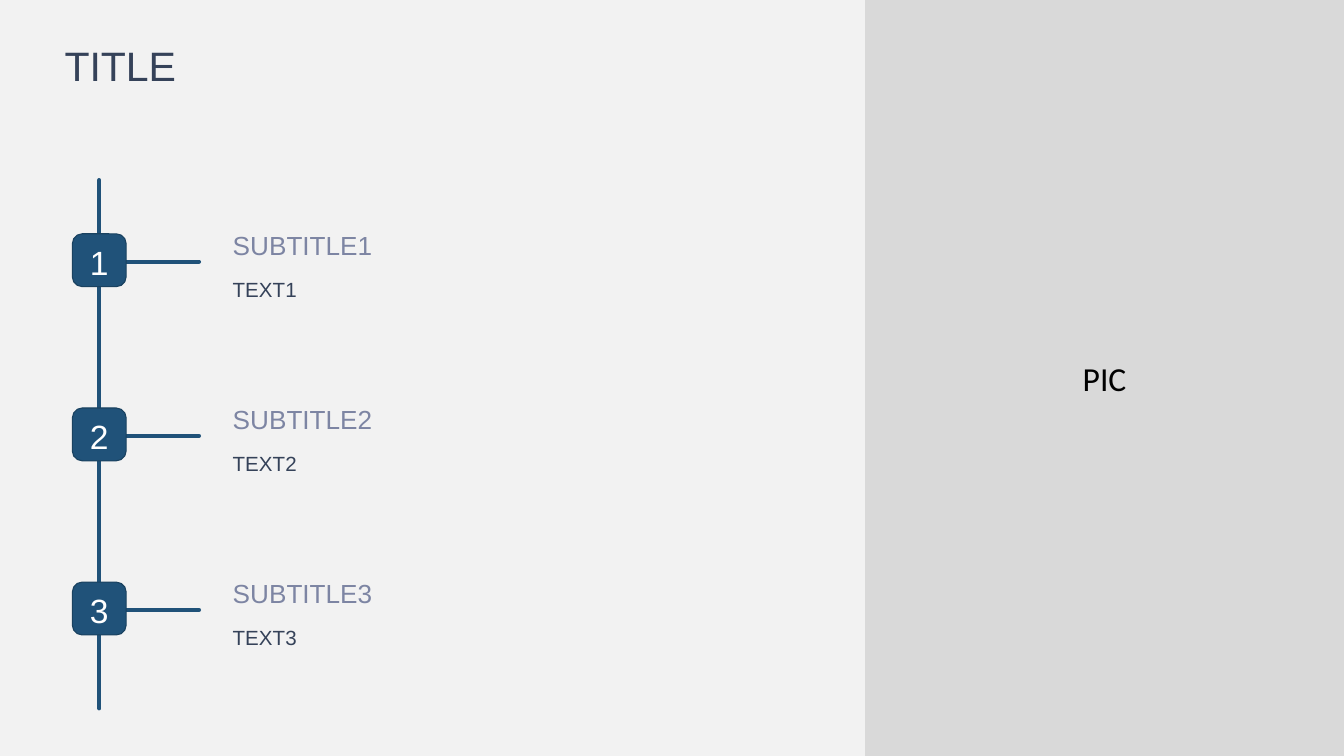
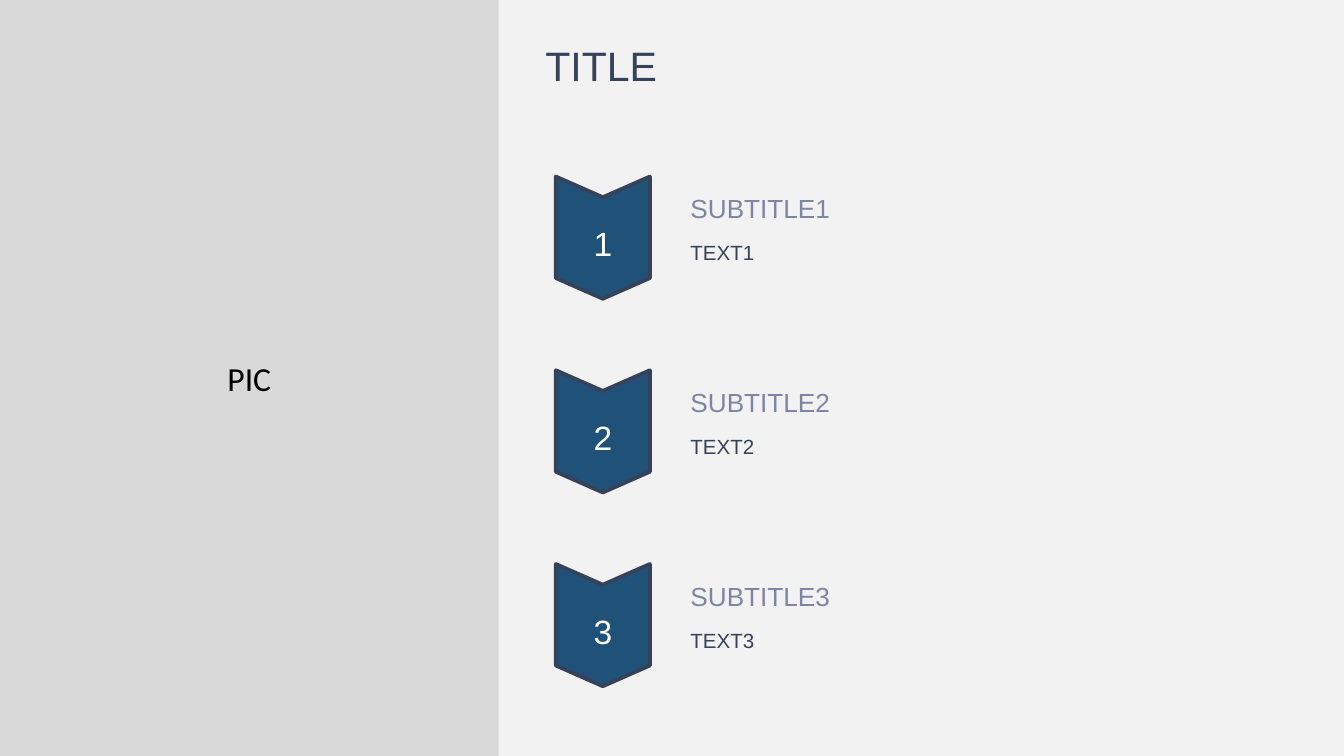
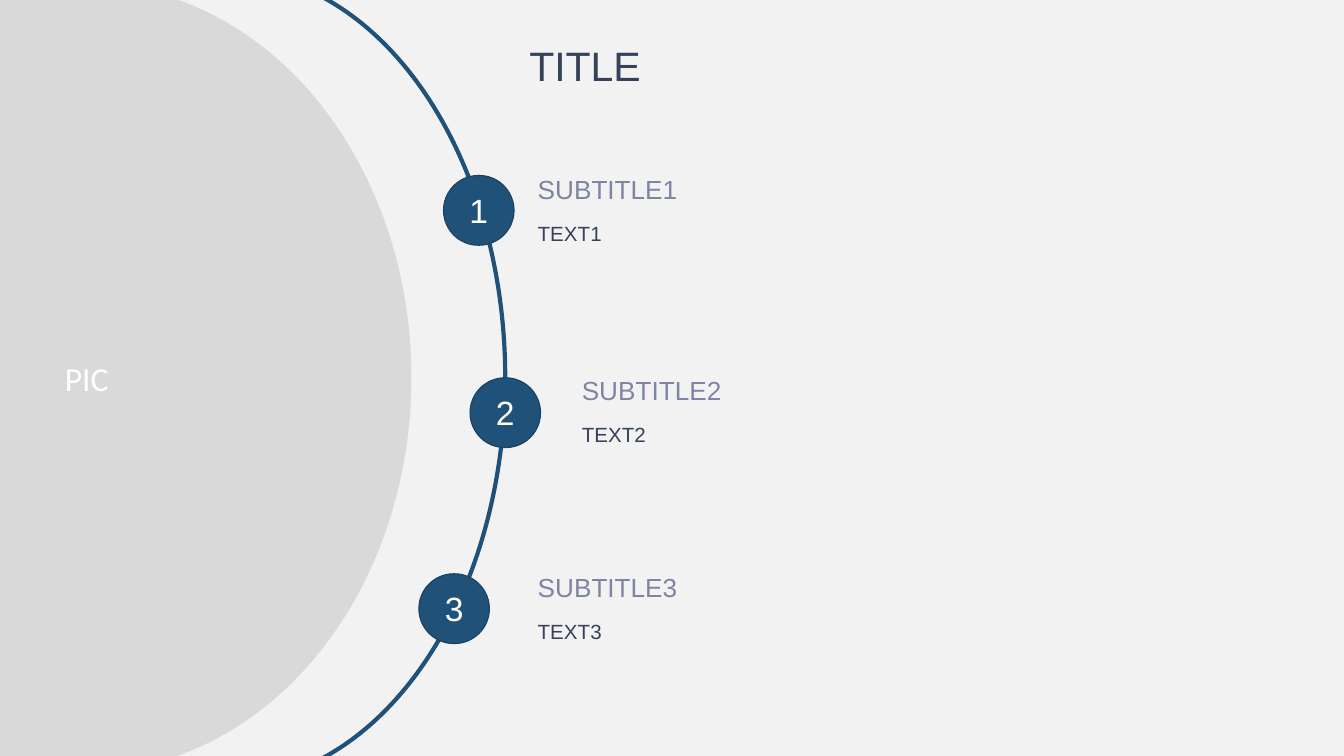
from dataclasses import dataclass

from lxml import etree
from pptx import Presentation
from pptx.dml.color import RGBColor
from pptx.enum.shapes import MSO_CONNECTOR, MSO_SHAPE
from pptx.enum.text import MSO_ANCHOR, MSO_AUTO_SIZE, PP_ALIGN
from pptx.oxml.ns import qn
from pptx.util import Pt

ROUNDED, CHEVRON, OVAL = MSO_SHAPE.ROUNDED_RECTANGLE, MSO_SHAPE.CHEVRON, MSO_SHAPE.OVAL
STRAIGHT = MSO_CONNECTOR.STRAIGHT
TOP, MIDDLE, BOTTOM = MSO_ANCHOR.TOP, MSO_ANCHOR.MIDDLE, MSO_ANCHOR.BOTTOM
LEFT, CENTER = PP_ALIGN.LEFT, PP_ALIGN.CENTER
FIT_NONE, FIT_SHAPE = MSO_AUTO_SIZE.NONE, MSO_AUTO_SIZE.SHAPE_TO_FIT_TEXT

PAGE_WIDTH, PAGE_HEIGHT = 720, 405


@dataclass(frozen=True)
class Theme:
    background: str = "F2F2F2"
    accent: str = "205279"
    accent_edge: str = "1A4260"
    ink: str = "354259"
    muted: str = "7D85A3"
    panel: str = "D9D9D9"
    white: str = "FFFFFF"
    black: str = "000000"
    font: str = "Arial"
    panel_font: str = "Calibri"
    title_size: float = 22
    number_size: float = 18
    subtitle_size: float = 14
    body_size: float = 11
    rule_width: float = 2.25
    edge_width: float = 0.6
    chevron_edge: float = 2


def color(value):
    return RGBColor.from_string(value)


def write_text(shape, text, *, size, ink, font, align=LEFT, anchor=TOP, fit=FIT_NONE):
    """Put one paragraph of formatted text into a shape or text box."""
    frame = shape.text_frame
    frame.word_wrap = True
    frame.auto_size = fit
    frame.vertical_anchor = anchor
    para = frame.paragraphs[0]
    para.alignment = align
    span = para.add_run()
    span.text = text
    span.font.size = Pt(size)
    span.font.name = font
    span.font.color.rgb = color(ink)


class SlideBuilder:
    """Holds the deck, its theme and the slide being built."""

    def __init__(self, theme):
        self.theme = theme
        self.deck = Presentation()
        self.deck.slide_width = Pt(PAGE_WIDTH)
        self.deck.slide_height = Pt(PAGE_HEIGHT)
        self.page = None

    def new_page(self):
        self.page = self.deck.slides.add_slide(self.deck.slide_layouts[6])
        fill = self.page.background.fill
        fill.solid()
        fill.fore_color.rgb = color(self.theme.background)

    def text(self, text, left, top, width, height, **style):
        box = self.page.shapes.add_textbox(Pt(left), Pt(top), Pt(width), Pt(height))
        write_text(box, text, **{"font": self.theme.font, **style})

    def shape(self, kind, left, top, width, height, fill=None, edge=None,
              edge_width=0, adjust=None):
        shape = self.page.shapes.add_shape(kind, Pt(left), Pt(top), Pt(width), Pt(height))
        shape.shadow.inherit = False
        if adjust is not None:
            shape.adjustments[0] = adjust
        if fill:
            shape.fill.solid()
            shape.fill.fore_color.rgb = color(fill)
        else:
            shape.fill.background()
        if edge:
            shape.line.color.rgb = color(edge)
            shape.line.width = Pt(edge_width)
        else:
            shape.line.fill.background()
        return shape

    def rule(self, x1, y1, x2, y2):
        line = self.page.shapes.add_connector(STRAIGHT, Pt(x1), Pt(y1), Pt(x2), Pt(y2))
        line.line.color.rgb = color(self.theme.accent)
        line.line.width = Pt(self.theme.rule_width)
        properties = line._element.spPr
        properties.find(qn("a:ln")).set("cap", "rnd")
        etree.SubElement(properties, qn("a:effectLst"))

    def title(self, left, width, height=72):
        self.text("TITLE", left, 18, width, height,
                  size=self.theme.title_size, ink=self.theme.ink)

    def picture_area(self, kind, left, top, width, height, ink, adjust=None):
        area = self.shape(kind, left, top, width, height, self.theme.panel, adjust=adjust)
        write_text(area, "PIC", size=self.theme.number_size, ink=ink,
                   font=self.theme.panel_font, align=CENTER, anchor=MIDDLE)

    def number(self, number, left, top, width=28.8):
        self.text(str(number), left, top, width, 29, size=self.theme.number_size,
                  ink=self.theme.white, align=CENTER, fit=FIT_SHAPE)

    def badge(self, number, left, top, width, height, adjust, text_drop):
        self.shape(ROUNDED, left, top, width, height, self.theme.accent,
                   self.theme.accent_edge, self.theme.edge_width, adjust)
        self.number(number, left, top + text_drop, width)

    def entry(self, number, left, top, width):
        self.text(f"SUBTITLE{number}", left, top, width, 43.2, anchor=BOTTOM,
                  size=self.theme.subtitle_size, ink=self.theme.muted)
        self.text(f"TEXT{number}", left, top + 44.8, width, 40.3,
                  size=self.theme.body_size, ink=self.theme.ink)


def timeline_page(builder):
    builder.new_page()
    pitch, spine = 93.3, 53.2
    builder.picture_area(ROUNDED, 463.5, 0, 256.5, PAGE_HEIGHT, builder.theme.black, 0)
    # Spine with a numbered branch for each entry
    builder.rule(spine, 379.5, spine, 96.5)
    for index in range(3):
        drop = index * pitch
        builder.rule(67.6, 140.2 + drop, 106.6, 140.2 + drop)
        builder.badge(index + 1, 38.8, 125.3 + drop, 28.8, 28.3, 0.187, 0.7)
        builder.entry(index + 1, 117.6, 100.1 + drop, 336.2)
    builder.title(27.5, 404.6)


def chevron_page(builder):
    builder.new_page()
    theme, pitch = builder.theme, 103.8
    builder.picture_area(ROUNDED, 0, 0, 267.2, PAGE_HEIGHT, theme.black, 0)
    # Downward chevrons beside their entries
    for index in range(3):
        drop = index * pitch
        chevron = builder.shape(CHEVRON, 290.2, 102.1 + drop, 65.5, 50.4, theme.accent,
                                theme.ink, theme.chevron_edge, 0.22)
        chevron.rotation = 90
        builder.number(index + 1, 308.6, 116 + drop)
        builder.entry(index + 1, 362.8, 80.4 + drop, 336.2)
    builder.title(285.1, 416.9, 62.6)


def arc_page(builder):
    builder.new_page()
    theme, right_edge = builder.theme, 678.2
    # Arc around the round picture area
    builder.shape(OVAL, -29.5, -15.1, 300.2, 434.9, edge=theme.accent,
                  edge_width=theme.rule_width)
    builder.picture_area(OVAL, -127.4, -8.6, 347.8, 421.9, theme.white)
    # Badge position on the arc, then entry position
    stops = [(237.6, 94, 281, 69.8), (251.8, 202.4, 304.6, 177.8), (224.4, 307.4, 281, 283.3)]
    for number, (badge_left, badge_top, left, top) in enumerate(stops, 1):
        builder.badge(number, badge_left, badge_top, 37.8, 37.4, 0.5, 4)
        builder.entry(number, left, top, right_edge - left)
    builder.title(276.5, 407.5)


def main():
    builder = SlideBuilder(Theme())
    timeline_page(builder)
    chevron_page(builder)
    arc_page(builder)
    builder.deck.save("out.pptx")


if __name__ == "__main__":
    main()
